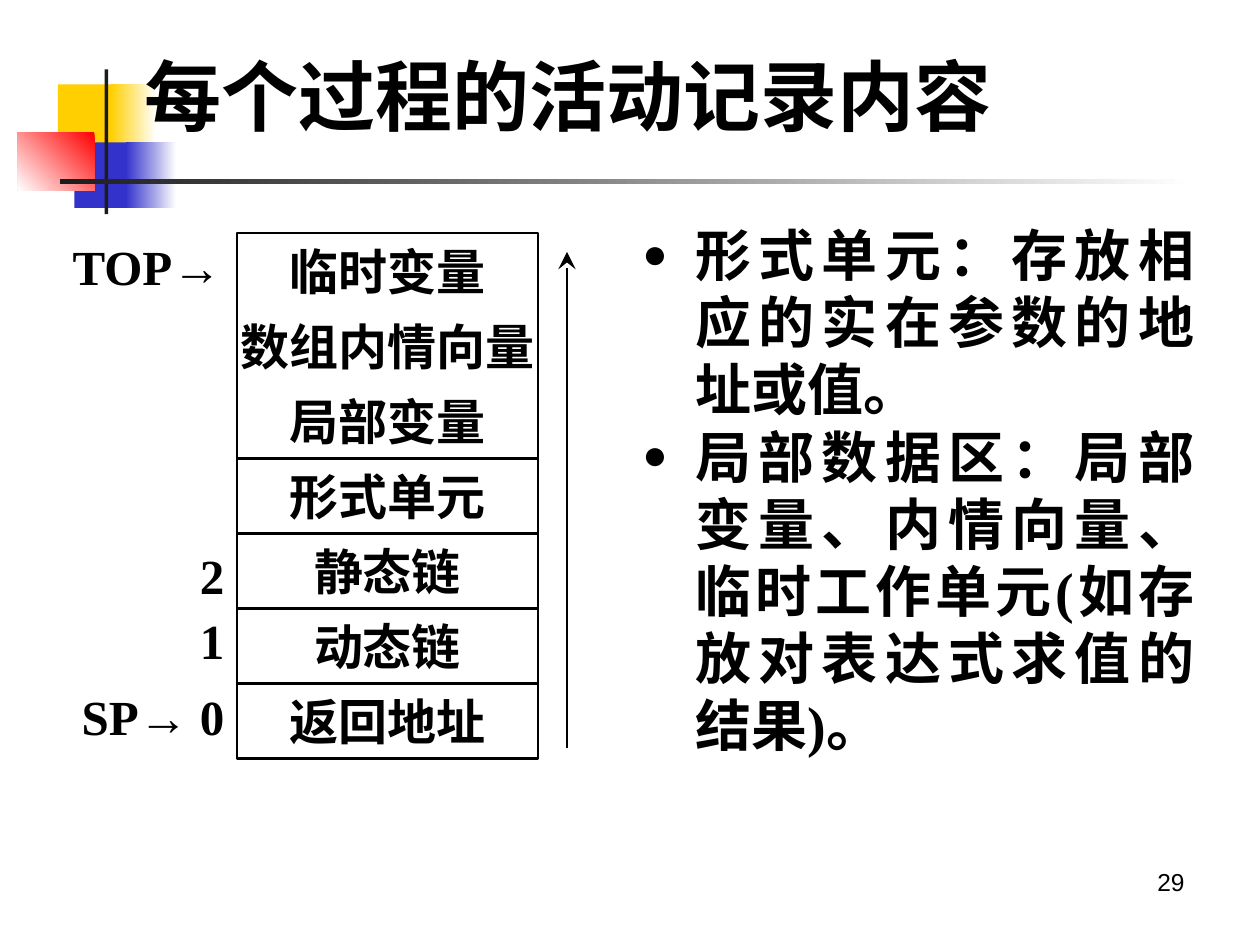
from pptx import Presentation
from pptx.util import Inches, Pt
from pptx.dml.color import RGBColor
from pptx.enum.shapes import MSO_SHAPE as Shape, MSO_CONNECTOR as Connector
from pptx.enum.text import PP_ALIGN as Align, MSO_ANCHOR as Anchor
from lxml.etree import SubElement
from pptx.oxml.ns import qn

COLORS = {"ink": "000000", "white": "FFFFFF", "yellow": "FFCF01",
          "blue": "3333CC", "red": "FF0000", "dark": "1C1C1C"}
SERIF, SANS = "Times New Roman", "Arial"

TITLE = "每个过程的活动记录内容"
POINTS = ["形式单元：存放相应的实在参数的地址或值。",
          "局部数据区：局部变量、内情向量、临时工作单元(如存放对表达式求值的结果)。"]
PAGE = "29"

DECOR = [
    ((0.46, 0.67, 0.48, 0.52), ["yellow"], 0),
    ((0.88, 0.67, 0.36, 0.52), ["white", "yellow"], 180),
    ((0.59, 1.13, 0.46, 0.52), ["blue"], 0),
    ((1, 1.13, 0.4, 0.52), ["white", "blue"], 180),
    ((0.14, 1.05, 0.61, 0.46), ["red", "white"], 225),
    ((0.83, 0.55, 0.03, 1.15), ["dark"], 0),
    ((0.48, 1.42, 9, 0.04), ["white", "dark"], 180),
]

STACK = (1.88, 1.85, 2.39, 4.17)
ROWS = [("临时变量", False), ("数组内情向量", False), ("局部变量", False),
        ("形式单元", True), ("静态链", True), ("动态链", True), ("返回地址", False)]
LABELS = [
    ((0.67, 1.85, 1.1, 0.52), Align.CENTER, [("TOP", SERIF), ("→ ", SANS)]),
    ((1.25, 4.3, 0.63, 0.52), Align.RIGHT, [("2", SERIF)]),
    ((1.25, 4.82, 0.63, 0.52), Align.RIGHT, [("1", SERIF)]),
    ((0.66, 5.42, 1.11, 0.52), Align.CENTER,
     [("SP", SERIF), ("→", SANS), (" 0", SERIF)]),
]
ARROW = (4.5, 5.94, 4.5, 2)


def rgb(name):
    return RGBColor.from_string(COLORS[name])


def add_rect(s, box, colors=(), angle=0, outline=False):
    sp = s.shapes.add_shape(Shape.RECTANGLE, *map(Inches, box))
    sp.shadow.inherit = False
    if len(colors) == 2:
        sp.fill.gradient()
        sp.fill.gradient_angle = angle
        for stop, color in zip(sp.fill.gradient_stops, colors):
            stop.color.rgb = rgb(color)
    elif colors:
        sp.fill.solid()
        sp.fill.fore_color.rgb = rgb(colors[0])
    else:
        sp.fill.background()
    if outline:
        sp.line.color.rgb = rgb("ink")
        sp.line.width = Pt(1.5)
    else:
        sp.line.fill.background()
    return sp


def write(sp, paragraphs, size, align, anchor=Anchor.MIDDLE, wrap=False, bold=True):
    tf = sp.text_frame
    tf.word_wrap = wrap
    tf.vertical_anchor = anchor
    for i, runs in enumerate(paragraphs):
        p = tf.add_paragraph() if i else tf.paragraphs[0]
        p.alignment = align
        for text, face in runs:
            r = p.add_run()
            r.text = text
            for key, value in {"name": face, "size": Pt(size), "bold": bold}.items():
                setattr(r.font, key, value)
            r.font.color.rgb = rgb("ink")
    return tf


def add_text(s, box, *args, **formats):
    return write(s.shapes.add_textbox(*map(Inches, box)), *args, wrap=True, **formats)


def add_bullet(p):
    pPr = p._p.get_or_add_pPr()
    pPr.set("marL", str(Inches(0.42)))
    pPr.set("indent", str(-Inches(0.42)))
    color = SubElement(pPr, qn("a:buClr"))
    SubElement(color, qn("a:srgbClr")).set("val", COLORS["ink"])
    SubElement(pPr, qn("a:buSzPct")).set("val", "75000")
    SubElement(pPr, qn("a:buFont")).set("typeface", SERIF)
    SubElement(pPr, qn("a:buChar")).set("char", "●")


def add_stack(s):
    left, top, width, height = STACK
    step = height / len(ROWS)
    add_rect(s, STACK, outline=True)
    for i, (text, outline) in enumerate(ROWS):
        sp = add_rect(s, (left, top + i * step, width, step), outline=outline)
        write(sp, [[(text, SERIF)]], 28, Align.CENTER)
    for box, align, runs in LABELS:
        write(add_rect(s, box), [runs], 28, align)


def add_arrow(s):
    line = s.shapes.add_connector(Connector.STRAIGHT, *map(Inches, ARROW))
    line.line.color.rgb = rgb("ink")
    line.line.width = Pt(1.5)
    tail = SubElement(line.line._get_or_add_ln(), qn("a:tailEnd"))
    for key, value in {"type": "stealth", "w": "lg", "len": "lg"}.items():
        tail.set(key, value)
    SubElement(line._element.spPr, qn("a:effectLst"))


def main():
    prs = Presentation()
    prs.slide_width, prs.slide_height = Inches(10), Inches(7.5)
    s = prs.slides.add_slide(prs.slide_layouts[6])
    for box, colors, angle in DECOR:
        add_rect(s, box, colors, angle)
    add_text(s, (1.05, 0.13, 7.1, 1.25), [[(TITLE, SERIF)]], 44, Align.LEFT)
    tf = add_text(s, (5, 1.7, 4.58, 4.68), [[(text, SERIF)] for text in POINTS], 32,
                  Align.JUSTIFY, anchor=Anchor.TOP)
    for p in tf.paragraphs:
        add_bullet(p)
    add_stack(s)
    add_arrow(s)
    add_text(s, (7.17, 6.83, 2.33, 0.52), [[(PAGE, SANS)]], 14, Align.RIGHT,
             anchor=Anchor.TOP, bold=False)
    prs.save("out.pptx")


if __name__ == "__main__":
    main()
